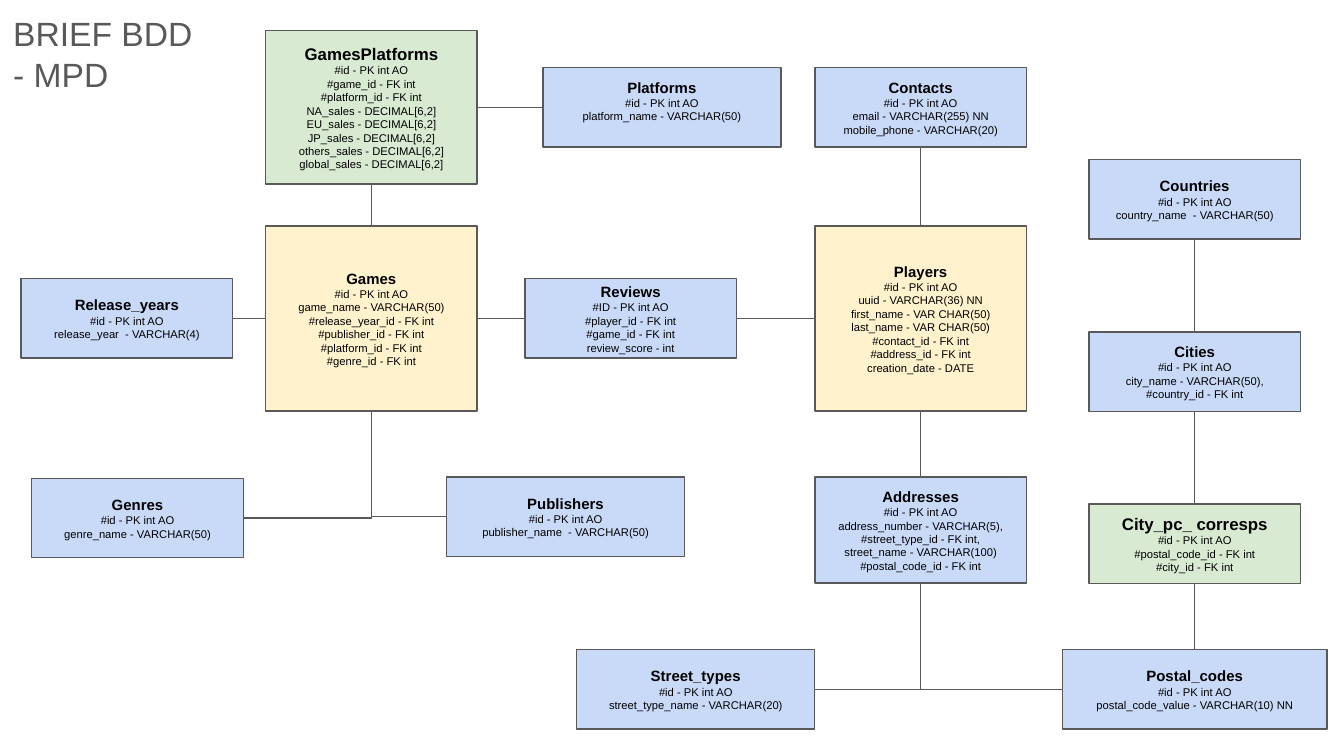
from lxml import etree
from pptx import Presentation
from pptx.dml.color import RGBColor
from pptx.enum.shapes import MSO_CONNECTOR, MSO_SHAPE
from pptx.enum.text import MSO_ANCHOR, MSO_AUTO_SIZE, PP_ALIGN
from pptx.oxml.ns import qn
from pptx.util import Cm, Pt

RECTANGLE = MSO_SHAPE.RECTANGLE
STRAIGHT, ELBOW = MSO_CONNECTOR.STRAIGHT, MSO_CONNECTOR.ELBOW
TOP, MIDDLE = MSO_ANCHOR.TOP, MSO_ANCHOR.MIDDLE
LEFT_ALIGNED, CENTERED = PP_ALIGN.LEFT, PP_ALIGN.CENTER
NO_AUTOFIT = MSO_AUTO_SIZE.NONE
TOP_SIDE, LEFT_SIDE, BOTTOM_SIDE, RIGHT_SIDE = range(4)

TITLE_ONLY = 5
BLUE, GREEN, YELLOW = "C9DAF8", "D9EAD3", "FFF2CC"
GRAY, BLACK = "595959", "000000"
INSET = 0.25

# Column lefts, row tops and box sizes, in centimetres
GAMES_X, PLAYERS_X, CITIES_X = 5.02, 15.4, 20.58
TOP_ROW, MAIN_ROW, SIDE_ROW, LOWER_ROW, BOTTOM_ROW = 1.28, 4.27, 5.27, 9.02, 12.28
NORMAL, WIDE, WIDEST = 4, 4.5, 5
LOW, TALL = 1.5, 3.5
CITY_TOP, CITY_STEP = 3.02, 3.255

# name: (box, fill, fields)
ENTITIES = {
    "Games": ((GAMES_X, MAIN_ROW, NORMAL, TALL), YELLOW, [
        "#id - PK int AO", "game_name - VARCHAR(50)", "#release_year_id - FK int",
        "#publisher_id - FK int", "#platform_id - FK int", "#genre_id - FK int"]),
    "Players": ((PLAYERS_X, MAIN_ROW, NORMAL, TALL), YELLOW, [
        "#id - PK int AO", "uuid - VARCHAR(36) NN", "first_name - VAR CHAR(50)",
        "last_name - VAR CHAR(50)", "#contact_id - FK int", "#address_id - FK int",
        "creation_date - DATE"]),
    "Publishers": ((8.44, LOWER_ROW, WIDE, LOW), BLUE, [
        "#id - PK int AO", "publisher_name  - VARCHAR(50)"]),
    "Addresses": ((PLAYERS_X, LOWER_ROW, NORMAL, 2), BLUE, [
        "#id - PK int AO", "address_number - VARCHAR(5),", "#street_type_id - FK int,",
        "street_name - VARCHAR(100)", "#postal_code_id - FK int"]),
    "Street_types": ((PLAYERS_X - WIDE, BOTTOM_ROW, WIDE, LOW), BLUE, [
        "#id - PK int AO", "street_type_name - VARCHAR(20)"]),
    "Postal_codes": ((CITIES_X - 0.5, BOTTOM_ROW, WIDEST, LOW), BLUE, [
        "#id - PK int AO", "postal_code_value - VARCHAR(10) NN"]),
    "Countries": ((CITIES_X, CITY_TOP, NORMAL, LOW), BLUE, [
        "#id - PK int AO", "country_name  - VARCHAR(50)"]),
    "Cities": ((CITIES_X, CITY_TOP + CITY_STEP, NORMAL, LOW), BLUE, [
        "#id - PK int AO", "city_name - VARCHAR(50),", "#country_id - FK int"]),
    "City_pc_ corresps": ((CITIES_X, CITY_TOP + 2 * CITY_STEP, NORMAL, LOW), GREEN, [
        "#id - PK int AO", "#postal_code_id - FK int", "#city_id - FK int"]),
    "Reviews": ((9.92, SIDE_ROW, NORMAL, LOW), BLUE, [
        "#ID - PK int AO", "#player_id - FK int", "#game_id - FK int",
        "review_score - int"]),
    "Release_years": ((0.4, SIDE_ROW, NORMAL, LOW), BLUE, [
        "#id - PK int AO", "release_year  - VARCHAR(4)"]),
    "Platforms": ((10.26, TOP_ROW, WIDE, LOW), BLUE, [
        "#id - PK int AO", "platform_name - VARCHAR(50)"]),
    "Genres": ((0.6, LOWER_ROW + 0.02, NORMAL, LOW), BLUE, [
        "#id - PK int AO", "genre_name - VARCHAR(50)"]),
    "Contacts": ((PLAYERS_X, TOP_ROW, NORMAL, LOW), BLUE, [
        "#id - PK int AO", "email - VARCHAR(255) NN", "mobile_phone - VARCHAR(20)"]),
    "GamesPlatforms": ((GAMES_X, 0.58, NORMAL, 2.9), GREEN, [
        "#id - PK int AO", "#game_id - FK int", "#platform_id - FK int",
        "NA_sales - DECIMAL[6,2]", "EU_sales - DECIMAL[6,2]",
        "JP_sales - DECIMAL[6,2]", "others_sales - DECIMAL[6,2]",
        "global_sales - DECIMAL[6,2]"]),
}

ACROSS = [("Release_years", "Games"), ("Games", "Reviews"), ("Reviews", "Players"),
          ("GamesPlatforms", "Platforms")]
DOWN = [("GamesPlatforms", "Games"), ("Contacts", "Players"), ("Players", "Addresses"),
        ("Countries", "Cities"), ("Cities", "City_pc_ corresps"),
        ("City_pc_ corresps", "Postal_codes")]
CORNERS = [("Genres", RIGHT_SIDE, "Games"), ("Publishers", LEFT_SIDE, "Games"),
           ("Street_types", RIGHT_SIDE, "Addresses"),
           ("Postal_codes", LEFT_SIDE, "Addresses")]


def color(hex_value):
    return RGBColor.from_string(hex_value)


def write(paragraph, text, size=6, bold=False, hex_color=BLACK, alignment=CENTERED):
    paragraph.alignment = alignment
    run = paragraph.add_run()
    run.text = text
    run.font.name = "Arial"
    run.font.size = Pt(size)
    run.font.bold = bold
    run.font.color.rgb = color(hex_color)


def format_frame(text_frame, anchor, bottom=INSET):
    text_frame.word_wrap = True
    text_frame.auto_size = NO_AUTOFIT
    text_frame.vertical_anchor = anchor
    text_frame.margin_left = text_frame.margin_right = Cm(INSET)
    text_frame.margin_top = Cm(INSET)
    text_frame.margin_bottom = Cm(bottom)


def add_title(slide, text, left, top, width, height):
    title = slide.shapes.title
    title.left, title.top = Cm(left), Cm(top)
    title.width, title.height = Cm(width), Cm(height)
    format_frame(title.text_frame, TOP)
    write(title.text_frame.paragraphs[0], text, size=18, hex_color=GRAY,
          alignment=LEFT_ALIGNED)


def add_entity(slide, name, box, fill, fields):
    shape = slide.shapes.add_shape(RECTANGLE, *map(Cm, box))
    shape.shadow.inherit = False
    shape.fill.solid()
    shape.fill.fore_color.rgb = color(fill)
    shape.line.color.rgb = color(GRAY)
    shape.line.width = Pt(0.75)
    # The text of Platforms sits half a line above the middle
    format_frame(shape.text_frame, MIDDLE, bottom=0.5 if name == "Platforms" else INSET)
    write(shape.text_frame.paragraphs[0], name, size=9 if fill == GREEN else 8, bold=True)
    for field in fields:
        write(shape.text_frame.add_paragraph(), field)
    return shape


def link(slide, start, start_side, end, end_side, kind=STRAIGHT):
    connector = slide.shapes.add_connector(kind, 0, 0, 0, 0)
    connector.begin_connect(start, start_side)
    connector.end_connect(end, end_side)
    connector.line.color.rgb = color(GRAY)
    connector.line.width = Pt(0.75)
    properties = connector._element.spPr
    etree.SubElement(properties, qn("a:effectLst"))
    if kind == ELBOW:
        # A single corner: across first, then up or down
        properties.find(qn("a:prstGeom")).set("prst", "bentConnector2")


def add_data_model(slide):
    shapes = {name: add_entity(slide, name, *details)
              for name, details in ENTITIES.items()}
    for left, right in ACROSS:
        link(slide, shapes[left], RIGHT_SIDE, shapes[right], LEFT_SIDE)
    for upper, lower in DOWN:
        link(slide, shapes[upper], BOTTOM_SIDE, shapes[lower], TOP_SIDE)
    for start, side, end in CORNERS:
        link(slide, shapes[start], side, shapes[end], BOTTOM_SIDE, kind=ELBOW)


def main():
    presentation = Presentation()
    presentation.slide_width, presentation.slide_height = Cm(25.4), Cm(14.29)
    slide = presentation.slides.add_slide(presentation.slide_layouts[TITLE_ONLY])
    add_title(slide, "BRIEF BDD - MPD", 0, 0, 4, 2.06)
    add_data_model(slide)
    presentation.save("out.pptx")


if __name__ == "__main__":
    main()
